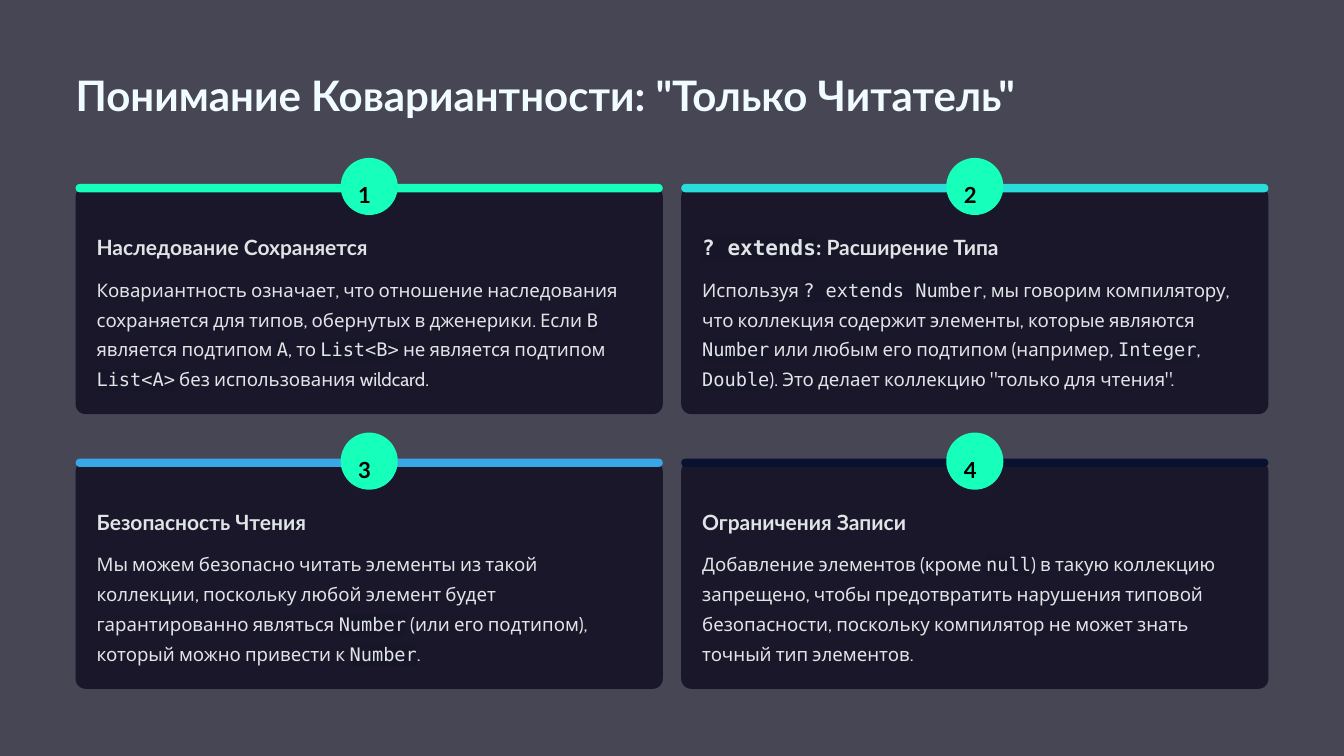
import pptx
import pptx.util
import pptx.dml.color
import pptx.enum.shapes
import pptx.enum.text
import pptx.oxml
import pptx.oxml.ns

INCH = pptx.util.Inches
RGB = pptx.dml.color.RGBColor.from_string
KIND = pptx.enum.shapes.MSO_SHAPE
NS = pptx.oxml.ns.nsdecls("a")
HUES = {"back": "474654", "card": "0A081B", "mint": "16FFBB", "cyan": "29DDDA",
        "blue": "37A7E7", "navy": "091231", "title": "F0FCFF", "text": "E0E4E6",
        "mark": "171528", "black": "000000"}

# Grid of two columns and two rows
LEFT, TOP = 0.9, 2.19
STEP_X, STEP_Y = 7.21, 3.27
WIDE, PAD = 6.99, 0.25
DOT = 0.68

CARDS = [
    ("mint", "Наследование Сохраняется",
     "Ковариантность означает, что отношение наследования сохраняется для типов, "
     "обернутых в дженерики. Если `B` является подтипом `A`, то `List<B>` "
     "не является подтипом `List<A>` без использования wildcard."),
    ("cyan", "`? extends`: Расширение Типа",
     "Используя `? extends Number`, мы говорим компилятору, что коллекция содержит "
     "элементы, которые являются `Number` или любым его подтипом (например, "
     "`Integer`, `Double`). Это делает коллекцию \"только для чтения\"."),
    ("blue", "Безопасность Чтения",
     "Мы можем безопасно читать элементы из такой коллекции, поскольку любой элемент "
     "будет гарантированно являться `Number` (или его подтипом), который можно "
     "привести к `Number`."),
    ("navy", "Ограничения Записи",
     "Добавление элементов (кроме `null`) в такую коллекцию запрещено, чтобы "
     "предотвратить нарушения типовой безопасности, поскольку компилятор не может "
     "знать точный тип элементов."),
]


def write(box, text, size, lead, hue="text", font="Lato", bold=True):
    """Fill a box with text; parts between backticks are set as marked code."""
    frame = box.text_frame
    frame.auto_size = pptx.enum.text.MSO_AUTO_SIZE.NONE
    frame.word_wrap = True
    frame.vertical_anchor = pptx.enum.text.MSO_ANCHOR.TOP
    frame.margin_left = frame.margin_right = frame.margin_top = frame.margin_bottom = 0
    para = frame.paragraphs[0]
    para.alignment = pptx.enum.text.PP_ALIGN.LEFT
    para.line_spacing = pptx.util.Pt(lead)
    para.space_before = pptx.util.Pt(0)
    for spot, part in enumerate(text.split("`")):
        if not part:
            continue
        code = spot % 2 == 1
        run = para.add_run()
        run.text = part
        run.font.size = pptx.util.Pt(size)
        run.font.bold = bold
        run.font.color.rgb = RGB(HUES[hue])
        run.font.name = "DejaVu Sans Mono" if code else font
        if code:
            mark = pptx.oxml.parse_xml(
                f'<a:highlight {NS}><a:srgbClr val="{HUES["mark"]}"/></a:highlight>')
            run.font.fill._xPr.find(pptx.oxml.ns.qn("a:latin")).addprevious(mark)


def draw(kind, x, y, w, h, hue, bend=None):
    """Add a plain filled shape without line or shadow."""
    form = slide.shapes.add_shape(kind, INCH(x), INCH(y), INCH(w), INCH(h))
    form.shadow.inherit = False
    form.fill.solid()
    form.fill.fore_color.rgb = RGB(HUES[hue])
    form.line.fill.background()
    if bend is not None:
        form.adjustments[0] = bend
    return form


deck = pptx.Presentation()
deck.slide_width, deck.slide_height = INCH(16), INCH(9)
slide = deck.slides.add_slide(deck.slide_layouts[5])
slide.background.fill.solid()
slide.background.fill.fore_color.rgb = RGB(HUES["back"])

title = slide.shapes.title
title.left, title.top, title.width, title.height = map(INCH, (LEFT, 0.8, 12.71, 0.63))
write(title, 'Понимание Ковариантности: "Только Читатель"', 36, 45, hue="title")

for spot, (hue, head, body) in enumerate(CARDS):
    row, col = divmod(spot, 2)
    x, y = LEFT + col * STEP_X, TOP + row * STEP_Y
    mid = x + WIDE / 2

    card = draw(KIND.ROUNDED_RECTANGLE, x, y + 0.03, WIDE, 2.71, "card", 0.044)
    tone = card.fill._xPr.find(".//" + pptx.oxml.ns.qn("a:srgbClr"))
    tone.append(pptx.oxml.parse_xml(f'<a:alpha {NS} val="75000"/>'))
    draw(KIND.ROUNDED_RECTANGLE, x, y, WIDE, 0.1, hue, 0.5)
    draw(KIND.OVAL, mid - DOT / 2, y - 0.31, DOT, DOT, "mint")

    texts = [
        (mid - 0.13, -0.14, 0.27, 0.34, str(spot + 1),
         dict(size=19, lead=31, hue="black")),
        (x + PAD, 0.59, 6.49, 0.31, head, dict(size=18, lead=22.5)),
        (x + PAD, 1.04, 6.49, 1.44, body,
         dict(size=16, lead=25.5, font="Cabin", bold=False)),
    ]
    for left, drop, w, h, text, form in texts:
        box = slide.shapes.add_textbox(INCH(left), INCH(y + drop), INCH(w), INCH(h))
        write(box, text, **form)

deck.save("out.pptx")
